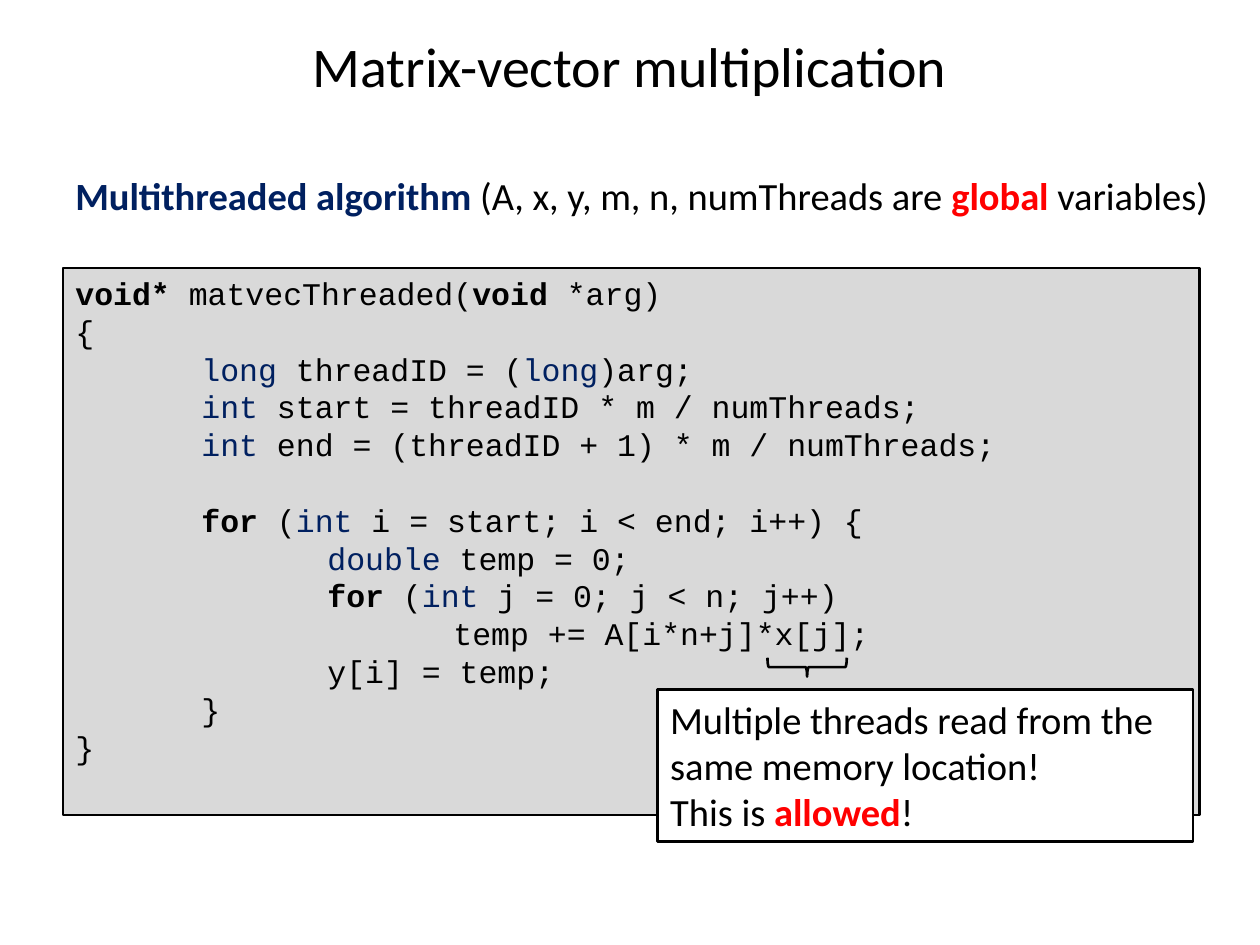
from pptx import Presentation
from pptx.dml.color import RGBColor
from pptx.enum.shapes import MSO_SHAPE
from pptx.enum.text import MSO_ANCHOR, MSO_AUTO_SIZE, PP_ALIGN
from pptx.util import Cm, Pt

BLACK, NAVY, RED = "000000", "002060", "FF0000"
CODE_SIZE = 18
CODE_LINE = 21.6  # height of one code line in points
TAB = Cm(2.54)

# Run styles: (colour, bold)
PLAIN, BOLD = (BLACK, False), (BLACK, True)
TYPE, HEADING, ALERT = (NAVY, False), (NAVY, True), (RED, True)

# Code lines: (indent in tabs, runs)
CODE = [
    (0, [("void* ", BOLD), ("matvecThreaded(", PLAIN), ("void ", BOLD), ("*arg)", PLAIN)]),
    (0, [("{", PLAIN)]),
    (1, [("long ", TYPE), ("threadID = (", PLAIN), ("long", TYPE), (")arg;", PLAIN)]),
    (1, [("int ", TYPE), ("start = threadID * m / numThreads;", PLAIN)]),
    (1, [("int ", TYPE), ("end = (threadID + 1) * m / numThreads;", PLAIN)]),
    (1, [("for", BOLD), (" (", PLAIN), ("int ", TYPE), ("i = start; i < end; i++) {", PLAIN)]),
    (2, [("double", TYPE), (" temp = 0;", PLAIN)]),
    (2, [("for", BOLD), (" (", PLAIN), ("int ", TYPE), ("j = 0; j < n; j++)", PLAIN)]),
    (3, [("temp += A[i*n+j]*x[j];", PLAIN)]),
    (2, [("y[i] = temp;", PLAIN)]),
    (1, [("}", PLAIN)]),
    (0, [("}", PLAIN)]),
]
LOOP_START = 5  # code line that follows a gap

SUBTITLE = [[("Multithreaded algorithm ", HEADING),
             ("(A, x, y, m, n, numThreads are ", PLAIN),
             ("global", ALERT), (" variables)", PLAIN)]]

NOTE = [
    [("Multiple threads read from the", PLAIN)],
    [("same memory location!", PLAIN)],
    [("This is ", PLAIN), ("allowed", ALERT), ("!", PLAIN)],
]


def rgb(value):
    return RGBColor.from_string(value)


def write(tf, lines, font, size, align=PP_ALIGN.LEFT, anchor=MSO_ANCHOR.TOP, wrap=True):
    tf.word_wrap = wrap
    tf.auto_size = MSO_AUTO_SIZE.NONE
    tf.vertical_anchor = anchor
    for i, runs in enumerate(lines):
        p = tf.paragraphs[0] if i == 0 else tf.add_paragraph()
        p.alignment = align
        for text, (color, bold) in runs:
            r = p.add_run()
            r.text = text
            r.font.name = font
            r.font.size = Pt(size)
            r.font.bold = bold
            r.font.color.rgb = rgb(color)


def add_outlined(s, kind, left, top, width, height, fill=None):
    sp = s.shapes.add_shape(kind, Cm(left), Cm(top), Cm(width), Cm(height))
    sp.shadow.inherit = False
    sp.line.color.rgb = rgb(BLACK)
    sp.line.width = Pt(1.5)
    if fill:
        sp.fill.solid()
        sp.fill.fore_color.rgb = rgb(fill)
    else:
        sp.fill.background()
    return sp


def add_title(s, text):
    sp = s.shapes.title
    sp.left, sp.top, sp.width, sp.height = Cm(1.27), Cm(0.43), Cm(22.86), Cm(1.78)
    write(sp.text_frame, [[(text, PLAIN)]], "Calibri", 32,
          PP_ALIGN.CENTER, MSO_ANCHOR.MIDDLE)


def add_code(s):
    sp = add_outlined(s, MSO_SHAPE.RECTANGLE, 1.27, 5.4, 22.91, 11.03, "D9D9D9")
    lines = [[("\t" * tabs, PLAIN)] * bool(tabs) + runs for tabs, runs in CODE]
    write(sp.text_frame, lines, "Courier New", CODE_SIZE)
    for p in sp.text_frame.paragraphs:
        p._p.get_or_add_pPr().set("defTabSz", str(TAB))
    sp.text_frame.paragraphs[LOOP_START].space_before = Pt(CODE_LINE)


def add_subtitle(s):
    sp = s.shapes.add_textbox(Cm(1.27), Cm(3.34), Cm(23.93), Cm(1.19))
    write(sp.text_frame, SUBTITLE, "Calibri", 22, wrap=False)


def add_note(s):
    # Brace under x[j], pointing down to the note
    brace = add_outlined(s, MSO_SHAPE.RIGHT_BRACE, 16.08, 12.65, 0.38, 1.6)
    brace.rotation = 90
    sp = add_outlined(s, MSO_SHAPE.RECTANGLE, 13.26, 13.9, 10.79, 3.07, "FFFFFF")
    write(sp.text_frame, NOTE, "Calibri", 22)


def main():
    prs = Presentation()
    prs.slide_width, prs.slide_height = Cm(25.4), Cm(19.05)
    s = prs.slides.add_slide(prs.slide_layouts[5])
    add_title(s, "Matrix-vector multiplication")
    add_code(s)
    add_subtitle(s)
    add_note(s)
    prs.save("out.pptx")


if __name__ == "__main__":
    main()
